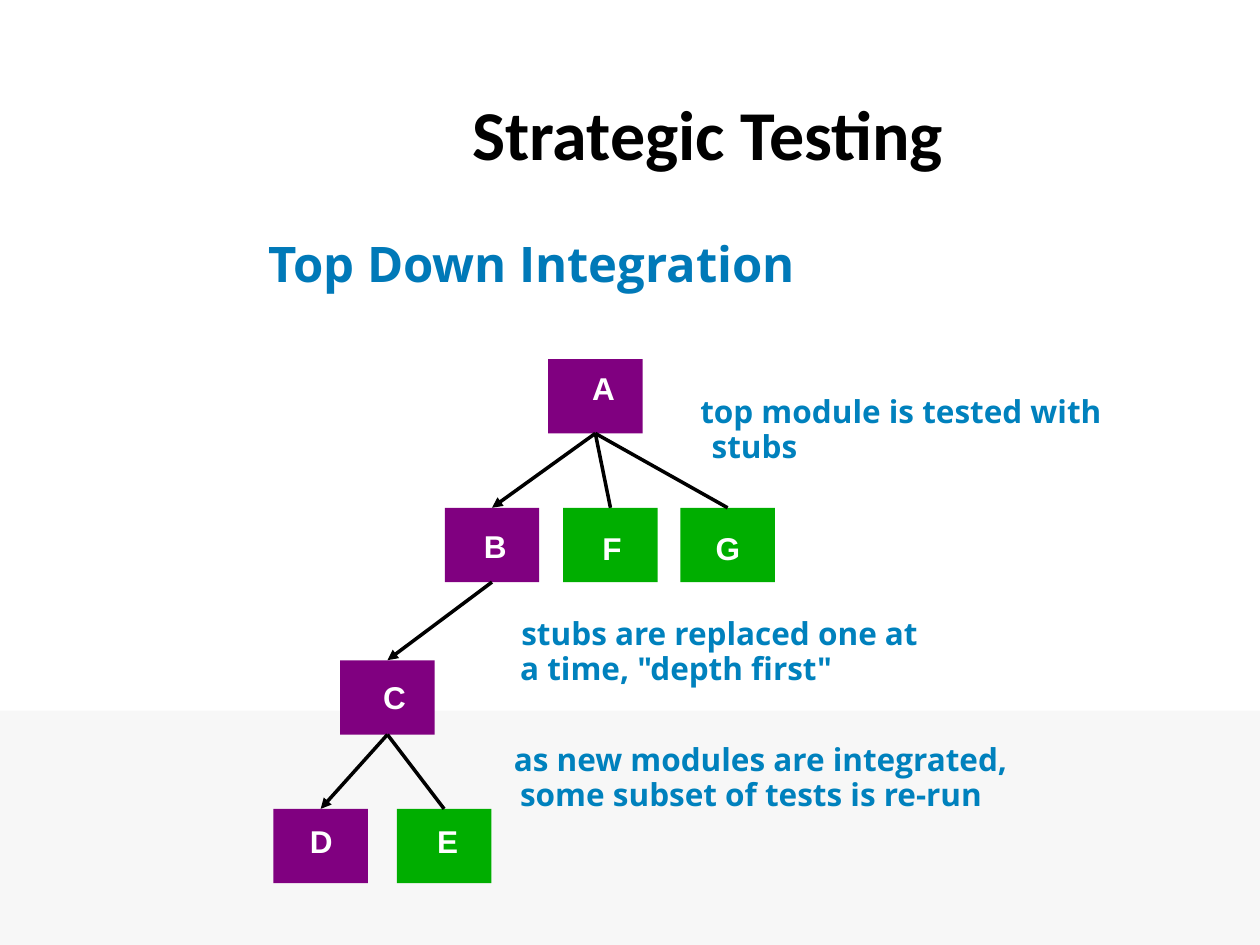
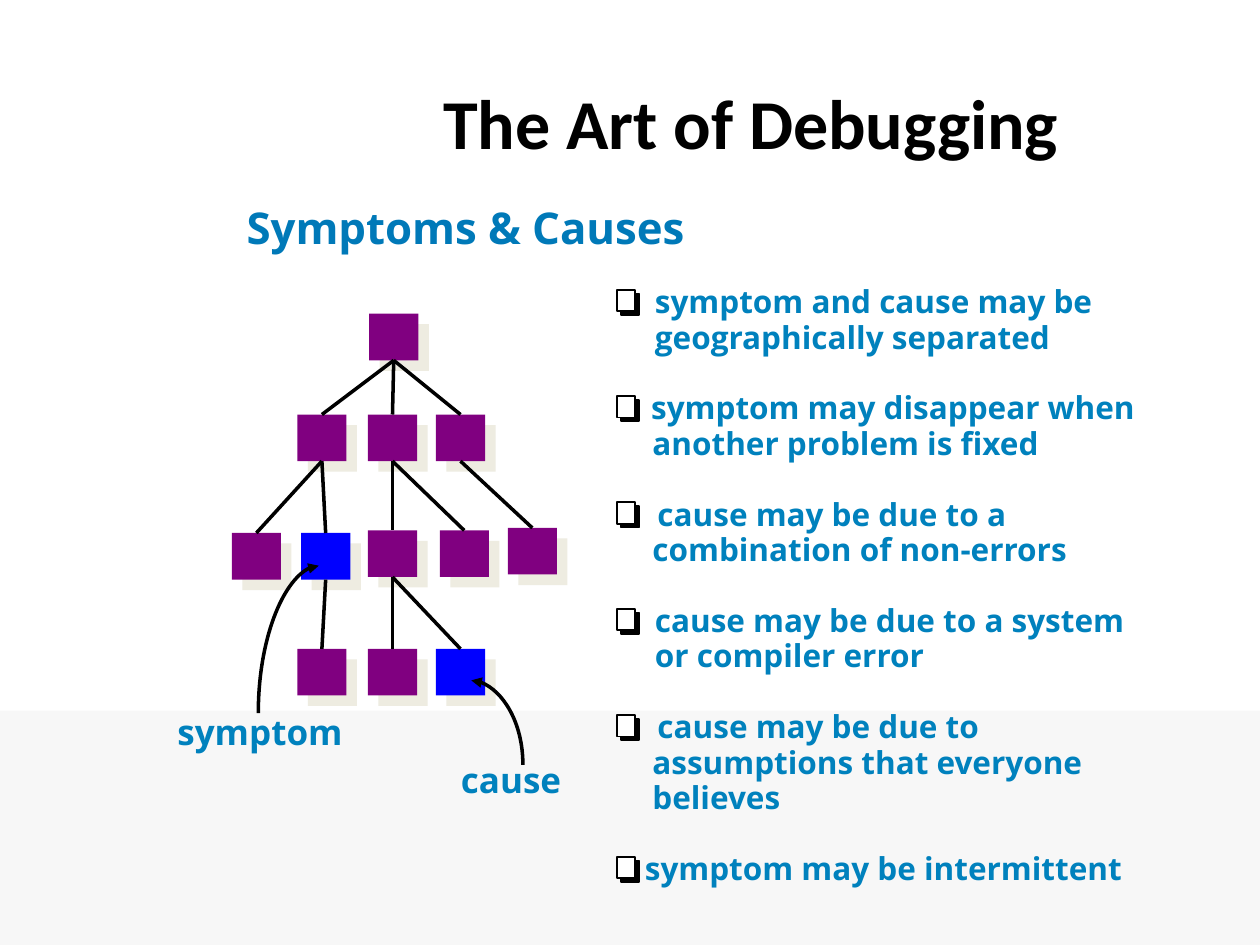
"""Build two slides on integration testing and debugging."""
import pptx
import pptx.util
import pptx.dml.color
import pptx.enum.shapes
import pptx.enum.text
import pptx.oxml
import pptx.oxml.ns
from lxml import etree

Inches = pptx.util.Inches
Pt = pptx.util.Pt
RGBColor = pptx.dml.color.RGBColor
qn = pptx.oxml.ns.qn
RECT = pptx.enum.shapes.MSO_SHAPE.RECTANGLE
LINE = pptx.enum.shapes.MSO_CONNECTOR.STRAIGHT
ANCHOR = pptx.enum.text.MSO_ANCHOR

BLACK = RGBColor(0, 0, 0)
WHITE = RGBColor(0xFF, 0xFF, 0xFF)
PALE = RGBColor(0xF7, 0xF7, 0xF7)
SHADE = RGBColor(0xEE, 0xEC, 0xE1)
PURPLE = RGBColor(0x80, 0x00, 0x80)
GREEN = RGBColor(0x00, 0xAE, 0x00)
BLUE = RGBColor(0x00, 0x00, 0xFF)
HEAD = RGBColor(0x00, 0x79, 0xB8)
BODY = RGBColor(0x00, 0x81, 0xBD)
PITCH = 20.25

MODULES = {
    "A": (2.18, 0, PURPLE, 0.35, 0.08),
    "B": (1.36, 1.18, PURPLE, 0.31, 0.15),
    "C": (0.53, 2.39, PURPLE, 0.34, 0.14),
    "D": (0, 3.57, PURPLE, 0.29, 0.1),
    "E": (0.98, 3.57, GREEN, 0.32, 0.1),
    "F": (2.3, 1.18, GREEN, 0.31, 0.17),
    "G": (3.23, 1.18, GREEN, 0.28, 0.17),
}
CALLS = ["AB", "AF", "AG", "BC", "CD", "CE"]
DEPTH = ["AB", "BC", "CD"]

NODES = [
    (1.09, 0), (0.52, 0.8), (1.08, 0.8), (1.62, 0.8),
    (0, 1.74), (0.55, 1.74), (1.08, 1.72), (1.65, 1.72), (2.19, 1.7),
    (0.52, 2.66), (1.08, 2.66), (1.62, 2.66),
]
FAULTS = (5, 11)
EDGES = [(0, 1), (0, 2), (0, 3), (1, 4), (1, 5), (2, 6), (2, 7), (3, 8),
         (5, 9), (6, 10), (6, 11)]

NOTES = [
    (5.46, 3.08, "top module is tested with\vstubs", 0, 0.09),
    (4.03, 4.84, "stubs are replaced one at\va time, \"depth first\"", 0.01, 0),
    (3.98, 5.84, "as new modules are integrated,\vsome subset of tests is re-run",
     0, 0.05),
]
FACTS = [
    ("symptom and cause may be\vgeographically separated", 0.08, 0.08),
    ("symptom may disappear when\vanother problem is fixed", 0.05, 0.06),
    ("cause may be due to a\vcombination of non-errors", 0.1, 0.06),
    ("cause may be due to a system\vor compiler error", 0.08, 0.08),
    ("cause may be due to\vassumptions that everyone\vbelieves", 0.1, 0.06),
    ("symptom may be intermittent", 0, 0),
]


def style(para, size, color, face="Open Sans"):
    """Set the bold font of a paragraph."""
    font = para.font
    font.name, font.size, font.bold = face, Pt(size), True
    font.color.rgb = color


def rect(shapes, x, y, w, h, fill, edge=None):
    """Add a flat rectangle."""
    shape = shapes.add_shape(RECT, Inches(x), Inches(y), Inches(w), Inches(h))
    shape.shadow.inherit = False
    shape.fill.solid()
    shape.fill.fore_color.rgb = fill
    if edge is None:
        shape.line.fill.background()
    else:
        shape.line.color.rgb = edge
        shape.line.width = Pt(1)
    return shape


def frame(slide, x, y, w, h):
    """Add a wrapping text box and return its frame."""
    box = slide.shapes.add_textbox(Inches(x), Inches(y), Inches(w), Inches(h))
    box.text_frame.word_wrap = True
    return box.text_frame


def label(slide, x, y, w, h, text, size, color, face="Open Sans"):
    """Add one line of bold text."""
    body = frame(slide, x, y, w, h)
    body.text = text
    style(body.paragraphs[0], size, color, face)
    return body


def block(slide, x, y, w, h, items):
    """Add paragraphs that each have a first-line and a later indent."""
    body = frame(slide, x, y, w, h)
    for i, (text, first, rest) in enumerate(items):
        para = body.add_paragraph() if i else body.paragraphs[0]
        para.text = text
        props = para._p.get_or_add_pPr()
        props.set("marL", str(Inches(rest)))
        props.set("indent", str(Inches(first) - Inches(rest)))
        para.line_spacing = Pt(PITCH)
        if i:
            para.space_before = Pt(PITCH)
        style(para, 18, BODY)


def stroke(shape, end=None):
    """Draw a black line with an optional arrowhead."""
    shape.line.color.rgb = BLACK
    shape.line.width = Pt(2)
    if end:
        etree.SubElement(shape.line._get_or_add_ln(), qn("a:" + end), type="triangle")


def join(slide, top, low, arrow=False):
    """Link the bottom of one box to the top of another."""
    link = slide.shapes.add_connector(LINE, 0, 0, 0, 0)
    link.begin_connect(top, 2)
    link.end_connect(low, 0)
    stroke(link, "tailEnd" if arrow else None)
    etree.SubElement(link._element.spPr, qn("a:effectLst"))


def swoop(slide, tip, tail):
    """Draw a quarter curve that leaves its arrow tip sideways."""
    (x, y), (u, v) = [(Inches(a), Inches(b)) for a, b in (tip, tail)]
    maker = slide.shapes.build_freeform(x, y)
    maker.add_line_segments([(u, v)], close=False)
    shape = maker.convert_to_shape()
    shape.shadow.inherit = False
    shape.fill.background()
    stroke(shape, "headEnd")
    geom = shape._element.spPr
    start, stop = [(int(p.get("x")), int(p.get("y"))) for p in geom.iter(qn("a:pt"))]
    seg = next(geom.iter(qn("a:lnTo")))
    curve = etree.Element(qn("a:cubicBezTo"))
    mid = [(a + b) // 2 for a, b in zip(start, stop)]
    for px, py in ((mid[0], start[1]), (stop[0], mid[1]), stop):
        etree.SubElement(curve, qn("a:pt"), x=str(px), y=str(py))
    seg.getparent().replace(seg, curve)


def base(deck, title, place, topic, size, spot):
    """Start a slide with its band, title and topic."""
    slide = deck.slides.add_slide(deck.slide_layouts[6])
    rect(slide.shapes, 0, 5.64, 10, 1.86, PALE)
    label(slide, *place, title, 40, BLACK, "Calibri")
    label(slide, *spot, topic, size, HEAD).vertical_anchor = ANCHOR.MIDDLE
    return slide


def modules(slide, left, top):
    """Draw the tree of lettered modules."""
    boxes = {}
    for name, (x, y, fill, dx, dy) in MODULES.items():
        box = rect(slide.shapes, left + x, top + y, 0.75, 0.59, fill)
        body = box.text_frame
        body.text = name
        body.vertical_anchor = ANCHOR.TOP
        body.margin_left, body.margin_top = Inches(dx), Inches(dy)
        body.margin_right = body.margin_bottom = 0
        para = body.paragraphs[0]
        para.alignment = pptx.enum.text.PP_ALIGN.LEFT
        style(para, 18, WHITE, "Arial")
        boxes[name] = box
    for call in CALLS:
        join(slide, boxes[call[0]], boxes[call[1]], call in DEPTH)


def faults(slide, left, top):
    """Draw the shadowed tree with its symptom and cause."""
    boxes = []
    for i, (x, y) in enumerate(NODES):
        fill = BLUE if i in FAULTS else PURPLE
        box = rect(slide.shapes, left + x, top + y, 0.39, 0.37, fill)
        glow = etree.SubElement(
            box._element.spPr.find(qn("a:effectLst")), qn("a:outerShdw"),
            dist=str(Pt(8.5)), dir="2700000", algn="ctr", rotWithShape="0")
        etree.SubElement(glow, qn("a:srgbClr"), val=str(SHADE))
        boxes.append(box)
    for a, b in EDGES:
        join(slide, boxes[a], boxes[b])
    swoop(slide, (left + 0.69, top + 2), (left + 0.21, top + 3.17))
    swoop(slide, (left + 1.9, top + 2.91), (left + 2.31, top + 3.58))
    label(slide, left - 0.53, top + 3.1, 1.6, 0.43, "symptom", 20, BODY)
    label(slide, left + 1.72, top + 3.48, 1.1, 0.43, "cause", 20, BODY)


def facts(slide, left, top):
    """List the facts, each with a drawn check box."""
    block(slide, left + 0.12, top, 4.5, 4.9, FACTS)
    y = top + 0.09
    for text, _, _ in FACTS:
        group = slide.shapes.add_group_shape()
        rect(group.shapes, left + 0.03, y + 0.03, 0.14, 0.17, BLACK, BLACK)
        rect(group.shapes, left, y, 0.14, 0.17, WHITE, BLACK)
        y += (text.count("\v") + 2) * PITCH / 72


def main():
    """Build and save the deck."""
    deck = pptx.Presentation()
    deck.slide_width, deck.slide_height = Inches(10), Inches(7.5)

    slide = base(deck, "Strategic Testing", (3.65, 0.67, 4.2, 0.77),
                 "Top Down Integration", 28, (2.03, 1.8, 5.79, 0.57))
    modules(slide, 2.17, 2.85)
    for x, y, text, first, rest in NOTES:
        block(slide, x, y, 4.5, 0.7, [(text, first, rest)])

    slide = base(deck, "The Art of Debugging", (3.42, 0.58, 6, 0.77),
                 "Symptoms & Causes", 25, (1.86, 1.54, 6.36, 0.52))
    faults(slide, 1.84, 2.49)
    facts(slide, 4.9, 2.21)
    deck.save("out.pptx")


if __name__ == "__main__":
    main()
